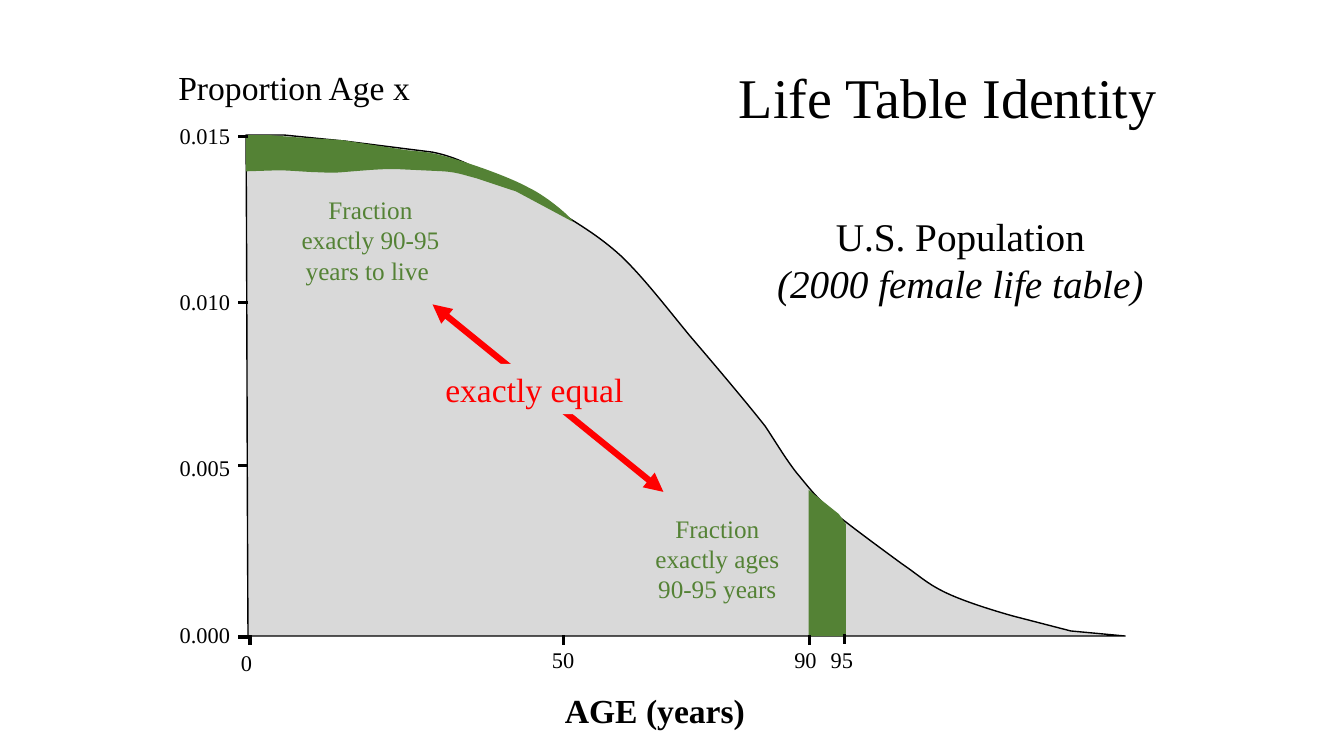
from lxml import etree
from pptx import Presentation
from pptx import util as u
from pptx.dml.color import RGBColor
from pptx.enum import shapes, text
from pptx.oxml.ns import qn

EMU_PER_PX = 9144  # 100 px to the inch
FONT = "Times New Roman"
BLACK, GREY, GREEN, RED = "000000", "D9D9D9", "548235", "FF0000"
LEFT, CENTER, RIGHT = text.PP_ALIGN.LEFT, text.PP_ALIGN.CENTER, text.PP_ALIGN.RIGHT

# Outlines: a pair is a straight step, six numbers are a cubic Bézier step.
SURVIVORS = [
    (244, 134), (245, 300, 245, 466, 246, 631), (1116, 631), (1062, 626), (1004, 611),
    (983, 605, 954, 596, 936, 587), (918, 578, 913, 572, 894, 559),
    (875, 545, 842, 521, 824, 506), (807, 491, 801, 482, 790, 469),
    (779, 455, 769, 438, 759, 423), (741, 400, 708, 361, 684, 333),
    (661, 305, 638, 275, 616, 254), (593, 233, 570, 220, 549, 207),
    (528, 194, 510, 185, 490, 176), (470, 166, 454, 156, 429, 151),
    (342, 140), (282, 134), (244, 134),
]
YEARS_TO_LIVE = [
    (244, 134), (244, 170), (276, 169), (288, 169, 306, 171, 319, 171),
    (331, 172, 337, 171, 350, 170), (363, 169, 384, 167, 398, 168), (440, 170),
    (454, 171, 461, 174, 473, 177), (512, 190), (568, 220),
    (570, 219, 545, 196, 524, 186), (504, 175, 466, 162, 445, 156),
    (423, 150, 421, 151, 403, 149), (339, 139), (290, 136), (267, 134), (244, 134),
]
AGED_90_TO_95 = [(802, 486), (802, 631), (839, 631), (839, 520), (832, 510), (802, 486)]


def px(length):
    return u.Emu(round(length * EMU_PER_PX))


def color(hex_string):
    return RGBColor.from_string(hex_string)


def bend(shape, outline):
    """Turn the straight steps that have control points into Bézier curves."""
    straight_steps = list(shape._element.iter(qn("a:lnTo")))
    for element, step in zip(straight_steps, outline[1:]):
        if len(step) == 2:
            continue
        curve = etree.Element(qn("a:cubicBezTo"))
        for x, y in zip(step[::2], step[1::2]):
            etree.SubElement(curve, qn("a:pt"), x=str(px(x) - shape.left),
                             y=str(px(y) - shape.top))
        element.getparent().replace(element, curve)


def write(shape, content, size=16, ink=BLACK, align=LEFT, bold=None,
          italic_lines=(), wrap=False):
    """Put one paragraph per line of content into the shape."""
    frame = shape.text_frame
    frame.word_wrap = wrap
    frame.auto_size = text.MSO_AUTO_SIZE.SHAPE_TO_FIT_TEXT
    for number, line in enumerate(content.split("\n")):
        paragraph = frame.add_paragraph() if number else frame.paragraphs[0]
        paragraph.alignment = align
        run = paragraph.add_run()
        run.text = line
        font = run.font
        font.name, font.size, font.bold = FONT, u.Pt(size), bold
        font.italic = number in italic_lines or None
        font.color.rgb = color(ink)


class LifeTableSlide:
    def __init__(self, presentation):
        self.slide = presentation.slides.add_slide(presentation.slide_layouts[6])
        self.shapes = self.slide.shapes

    def label(self, box, content, **style):
        write(self.shapes.add_textbox(*map(px, box)), content, **style)

    def paint(self, shape, fill, line=None):
        shape.shadow.inherit = False
        shape.fill.solid()
        shape.fill.fore_color.rgb = color(fill)
        if line:
            shape.line.color.rgb = color(line)
            shape.line.width = u.Pt(1)
        else:
            shape.line.fill.background()

    def area(self, outline, fill, line=None):
        corners = [(px(step[-2]), px(step[-1])) for step in outline]
        builder = self.shapes.build_freeform(*corners[0])
        builder.add_line_segments(corners[1:], close=True)
        shape = builder.convert_to_shape()
        bend(shape, outline)
        self.paint(shape, fill, line)

    def plate(self, box, fill, content, **style):
        shape = self.shapes.add_shape(shapes.MSO_SHAPE.RECTANGLE, *map(px, box))
        self.paint(shape, fill)
        write(shape, content, **style)

    def line(self, start, end, ink=BLACK, width=2.25, arrows=False):
        connector = self.shapes.add_connector(
            shapes.MSO_CONNECTOR.STRAIGHT, *map(px, start + end))
        connector.line.color.rgb = color(ink)
        connector.line.width = u.Pt(width)
        properties = connector._element.spPr
        if arrows:
            for tag in ("a:headEnd", "a:tailEnd"):
                etree.SubElement(properties.find(qn("a:ln")), qn(tag), type="triangle")
        etree.SubElement(properties, qn("a:effectLst"))


def main():
    presentation = Presentation()
    presentation.slide_width, presentation.slide_height = px(1333), px(750)
    page = LifeTableSlide(presentation)

    page.label((167, 61, 252, 50), "Proportion Age x", size=24)
    page.area(SURVIVORS, GREY, line=BLACK)
    page.area(YEARS_TO_LIVE, GREEN)
    page.area(AGED_90_TO_95, GREEN)
    page.label((759, 206, 387, 104), "U.S. Population\n(2000 female life table)",
               size=28, align=CENTER, italic_lines=(1,))

    for row, (value, y) in enumerate([("0.015", 135), ("0.010", 300),
                                      ("0.005", 462), ("0.000", 632)]):
        page.label((167, 116 + 165 * row, 71, 37), value, align=RIGHT)
        page.line((246, y), (236, y))
    for age, x, top, box, align in [("0", 248, 630, (229, 639, 31, 37), CENTER),
                                    ("50", 559, 630, (537, 636, 43, 37), CENTER),
                                    ("90", 803, 630, (778, 636, 43, 37), LEFT),
                                    ("95", 838, 629, (814, 636, 43, 37), LEFT)]:
        page.label(box, age, align=align)
        page.line((x, top), (x, top + 10))
    page.label((549, 680, 201, 50), "AGE (years)", size=24, align=CENTER, bold=True)

    for x, y, fraction in [(281, 188, "Fraction exactly 90-95 years to live "),
                           (625, 504, "Fraction exactly ages 90-95 years")]:
        page.label((x, y, 173, 101), fraction, size=18, ink=GREEN, align=CENTER, wrap=True)
    page.line((429, 302), (658, 488), ink=RED, width=4.5, arrows=True)
    page.plate((431, 361, 198, 50), GREY, "exactly equal", size=24, ink=RED, align=CENTER)
    page.label((723, 57, 439, 77), "Life Table Identity", size=40)

    presentation.save("out.pptx")


if __name__ == "__main__":
    main()
